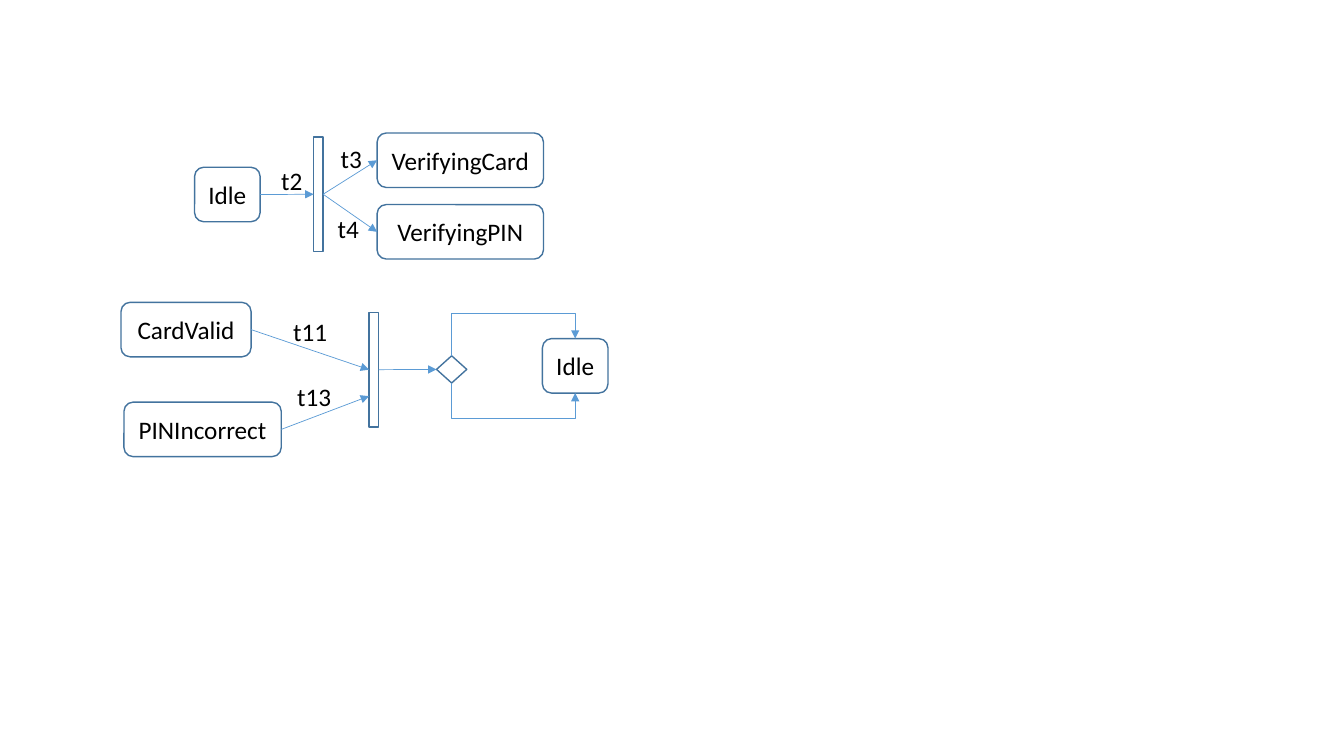
"""Draw the fork and join transitions of a card and PIN check."""
from pptx import Presentation
from pptx.dml.color import RGBColor
from pptx.enum.shapes import MSO_CONNECTOR as Connector, MSO_SHAPE as Shape
from pptx.enum.text import MSO_ANCHOR as Anchor, MSO_AUTO_SIZE as AutoSize, PP_ALIGN as Align
from pptx.oxml.ns import qn
from pptx.util import Inches, Pt
from lxml.etree import SubElement

CELL = 0.1
STATE_ROWS = 5.4
BAR_COLUMNS, BAR_ROWS = 0.95, 11.35
OUTLINE, ARROW, INK = "43739E", "5B9BD5", "000000"
TOP, LEFT, BOTTOM, RIGHT = range(4)


def grid(*cells):
    """Turn grid columns or rows into slide lengths."""
    return [Inches(cell * CELL) for cell in cells]


def color(value):
    """Turn a hex string into a colour."""
    return RGBColor.from_string(value)


def write(frame, text, size=18, font="Calibri", ink=INK, align=Align.LEFT):
    """Write one paragraph of formatted text."""
    paragraph = frame.paragraphs[0]
    paragraph.alignment = align
    run = paragraph.add_run()
    run.text = text
    run.font.size = Pt(size)
    run.font.name = font
    run.font.color.rgb = color(ink)


def add_outline(slide, kind, column, row, columns, rows):
    """Add an unfilled outlined shape."""
    shape = slide.shapes.add_shape(kind, *grid(column, row, columns, rows))
    shape.shadow.inherit = False
    shape.fill.background()
    shape.line.color.rgb = color(OUTLINE)
    shape.line.width = Pt(1)
    return shape


def add_state(slide, name, column, row, columns):
    """Add a rounded state box with its name."""
    state = add_outline(slide, Shape.ROUNDED_RECTANGLE, column, row, columns, STATE_ROWS)
    state.text_frame.vertical_anchor = Anchor.MIDDLE
    write(state.text_frame, name, align=Align.CENTER)
    return state


def add_bar(slide, column, row):
    """Add a fork or join bar."""
    return add_outline(slide, Shape.RECTANGLE, column, row, BAR_COLUMNS, BAR_ROWS)


def add_label(slide, name, column, row, columns):
    """Add a transition label."""
    label = slide.shapes.add_textbox(*grid(column, row, columns, 4))
    label.text_frame.word_wrap = False
    label.text_frame.auto_size = AutoSize.SHAPE_TO_FIT_TEXT
    write(label.text_frame, name)


def style_arrow(connector):
    """Give a connector its thin line and arrowhead."""
    connector.line.color.rgb = color(ARROW)
    connector.line.width = Pt(0.5)
    properties = connector._element.spPr
    SubElement(properties.find(qn("a:ln")), qn("a:tailEnd"), type="triangle")
    SubElement(properties, qn("a:effectLst"))


def add_arrow(slide, source, target, target_row=None):
    """Join two shapes from right side to left side, or end at a given row."""
    end = target.left, grid(target_row or 0)[0]
    arrow = slide.shapes.add_connector(Connector.STRAIGHT, source.left, source.top, *end)
    arrow.begin_connect(source, RIGHT)
    if target_row is None:
        arrow.end_connect(target, LEFT)
    style_arrow(arrow)


def side_middle(shape, side):
    """Find the middle of the top or bottom side."""
    return shape.left + shape.width // 2, shape.top + (shape.height if side == BOTTOM else 0)


def add_detour(slide, source, target, side, lane_row):
    """Join the same side of two shapes by way of a level lane."""
    x1, y1 = side_middle(source, side)
    x2, y2 = side_middle(target, side)
    center_x, center_y = (x1 + x2) // 2, (y1 + y2) // 2
    half_width, half_height = abs(y2 - y1) // 2, (x2 - x1) // 2
    if side == BOTTOM:
        half_height = -half_height
    detour = slide.shapes.add_connector(
        Connector.ELBOW, center_x + half_width, center_y + half_height,
        center_x - half_width, center_y - half_height)
    properties = detour._element.spPr
    properties.find(qn("a:xfrm")).set("rot", str((90 if side == TOP else 270) * 60000))
    geometry = properties.find(qn("a:prstGeom"))
    guides = geometry.find(qn("a:avLst"))
    if guides is None:
        guides = SubElement(geometry, qn("a:avLst"))
    bend = round(100000 * (grid(lane_row)[0] - y1) / (y2 - y1))
    SubElement(guides, qn("a:gd"), name="adj1", fmla=f"val {bend}")
    style_arrow(detour)


def add_fork(slide):
    """Draw the fork from Idle to the two verifying states."""
    idle = add_state(slide, "Idle", 19.3, 16.6, 6.5)
    bar = add_bar(slide, 31.1, 13.6)
    add_arrow(slide, idle, bar)
    for name, row in (("VerifyingCard", 13.2), ("VerifyingPIN", 20.3)):
        add_arrow(slide, bar, add_state(slide, name, 37.4, row, 16.5))


def add_join(slide):
    """Draw the join of the two results and the way back to Idle."""
    card = add_state(slide, "CardValid", 12, 30, 12.9)
    pin = add_state(slide, "PINIncorrect", 12.3, 39.9, 15.6)
    bar = add_bar(slide, 36.6, 31)
    add_arrow(slide, card, bar)
    add_arrow(slide, pin, bar, target_row=39.3)
    decision = add_outline(slide, Shape.FLOWCHART_DECISION, 43.3, 35.3, 3, 2.7)
    idle = add_state(slide, "Idle", 53.8, 33.6, 6.5)
    add_arrow(slide, bar, decision)
    add_detour(slide, decision, idle, TOP, 31.1)
    add_detour(slide, decision, idle, BOTTOM, 41.5)


def main():
    """Build and save the slide."""
    presentation = Presentation()
    presentation.slide_width, presentation.slide_height = Inches(13.33), Inches(7.5)
    slide = presentation.slides.add_slide(presentation.slide_layouts[6])
    add_fork(slide)
    add_join(slide)
    for name, column, row, columns in (
            ("t2", 26.9, 15.9, 4.1), ("t3", 32.8, 13.7, 4.1), ("t4", 32.5, 20.7, 4.1),
            ("t11", 28.1, 30.9, 5.4), ("t13", 28.5, 37.3, 5.4)):
        add_label(slide, name, column, row, columns)
    presentation.save("out.pptx")


if __name__ == "__main__":
    main()
